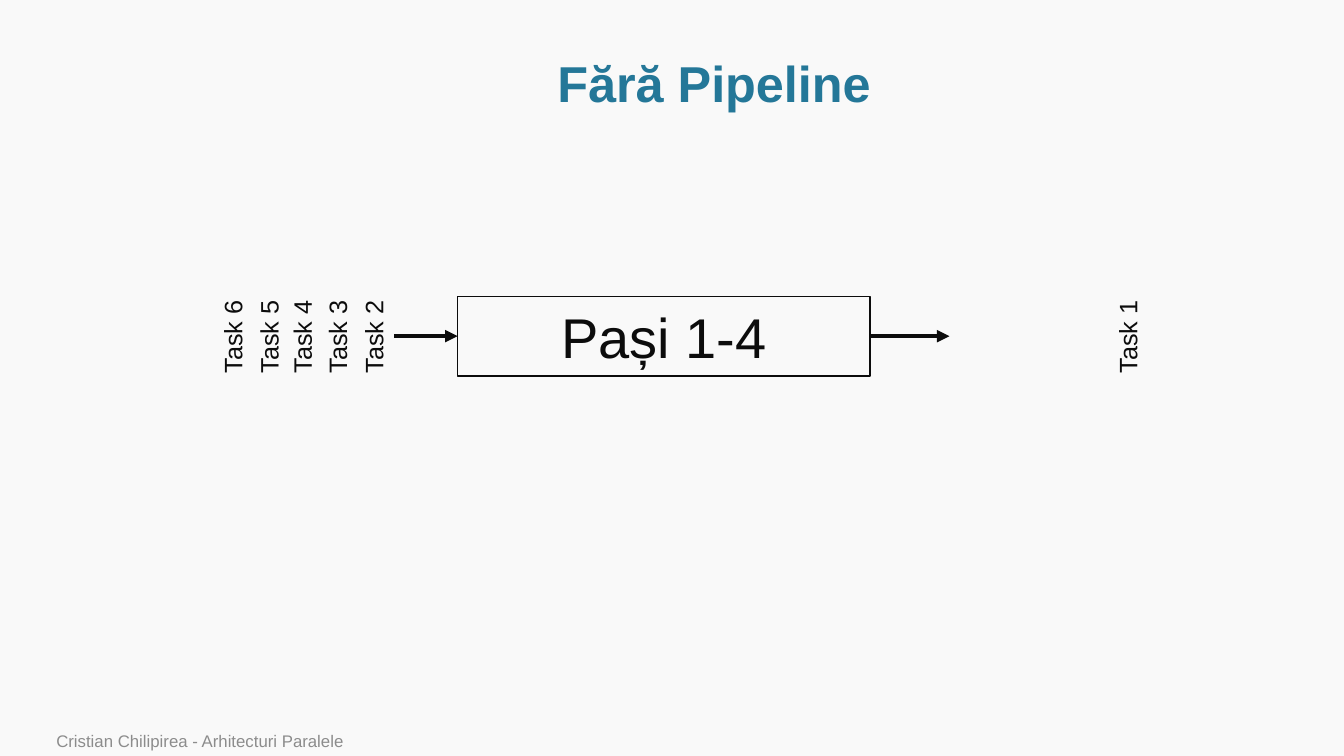
from lxml import etree
from pptx import Presentation
from pptx.dml.color import RGBColor
from pptx.enum import shapes, text
from pptx.oxml.ns import qn
from pptx.util import Pt

COLORS = {"bg": "F9F9F9", "title": "247798", "ink": "0C0C0C", "footer": "8C8C8C"}
TITLE = ("Fără Pipeline", (82.1, 36.7, 856.1, 49.7))
STAGE = ("Pași 1-4", (326.9, 211.7, 294.5, 56.9))
FOOTER = ("Cristian Chilipirea - Arhitecturi Paralele", (33.1, 519.8, 707, 20.2))
TASKS = [("Task 1", 771.8), ("Task 2", 233.3), ("Task 3", 207.4),
         ("Task 4", 182.2), ("Task 5", 158.4), ("Task 6", 132.5)]
TASK_W, TASK_H = 67, 28.8
ARROW_START, ARROW_END = 281.5, 678.2


def rgb(name):
    return RGBColor.from_string(COLORS[name])


def write(sp, words, size, color, align, anchor, wrap=True, bold=False):
    tf = sp.text_frame
    tf.text = words
    tf.word_wrap = wrap
    tf.vertical_anchor = anchor
    p = tf.paragraphs[0]
    p.alignment = align
    font = p.runs[0].font
    font.name, font.size, font.bold = "Arial", Pt(size), bold
    font.color.rgb = rgb(color)
    return p


def add_text(box, *args, **kwargs):
    sp = s.shapes.add_textbox(*map(Pt, box))
    return sp, write(sp, *args, **kwargs)


def add_arrow(x1, x2, y):
    line = s.shapes.add_connector(shapes.MSO_CONNECTOR.STRAIGHT, Pt(x1), Pt(y), Pt(x2), Pt(y))
    line.line.color.rgb = rgb("ink")
    line.line.width = Pt(3)
    etree.SubElement(line.line._get_or_add_ln(), qn("a:tailEnd"), type="triangle")
    etree.SubElement(line._element.spPr, qn("a:effectLst"))
    return line


LEFT, CENTER = text.PP_ALIGN.LEFT, text.PP_ALIGN.CENTER
TOP, MIDDLE, BOTTOM = text.MSO_ANCHOR.TOP, text.MSO_ANCHOR.MIDDLE, text.MSO_ANCHOR.BOTTOM

prs = Presentation()
prs.slide_width, prs.slide_height = Pt(960), Pt(540)
s = prs.slides.add_slide(prs.slide_layouts[6])
s.background.fill.solid()
s.background.fill.fore_color.rgb = rgb("bg")

words, box = TITLE
sp, p = add_text(box, words, 36, "title", CENTER, MIDDLE, bold=True)
p.line_spacing = 0.9

words, box = STAGE
stage = s.shapes.add_shape(shapes.MSO_SHAPE.RECTANGLE, *map(Pt, box))
stage.shadow.inherit = False
stage.fill.background()
stage.line.color.rgb = rgb("ink")
stage.line.width = Pt(1)
write(stage, words, 40, "ink", CENTER, MIDDLE)

left, top, width, height = box
mid = top + height / 2
add_arrow(ARROW_START, left, mid).end_connect(stage, 1)
add_arrow(left + width, ARROW_END, mid).begin_connect(stage, 3)

for words, x in TASKS:
    sp, p = add_text((x, mid - TASK_H / 2, TASK_W, TASK_H), words, 18, "ink", LEFT, TOP, wrap=False)
    sp.text_frame.auto_size = text.MSO_AUTO_SIZE.SHAPE_TO_FIT_TEXT
    sp.rotation = 270

words, box = FOOTER
add_text(box, words, 12, "footer", LEFT, BOTTOM)

prs.save("out.pptx")
